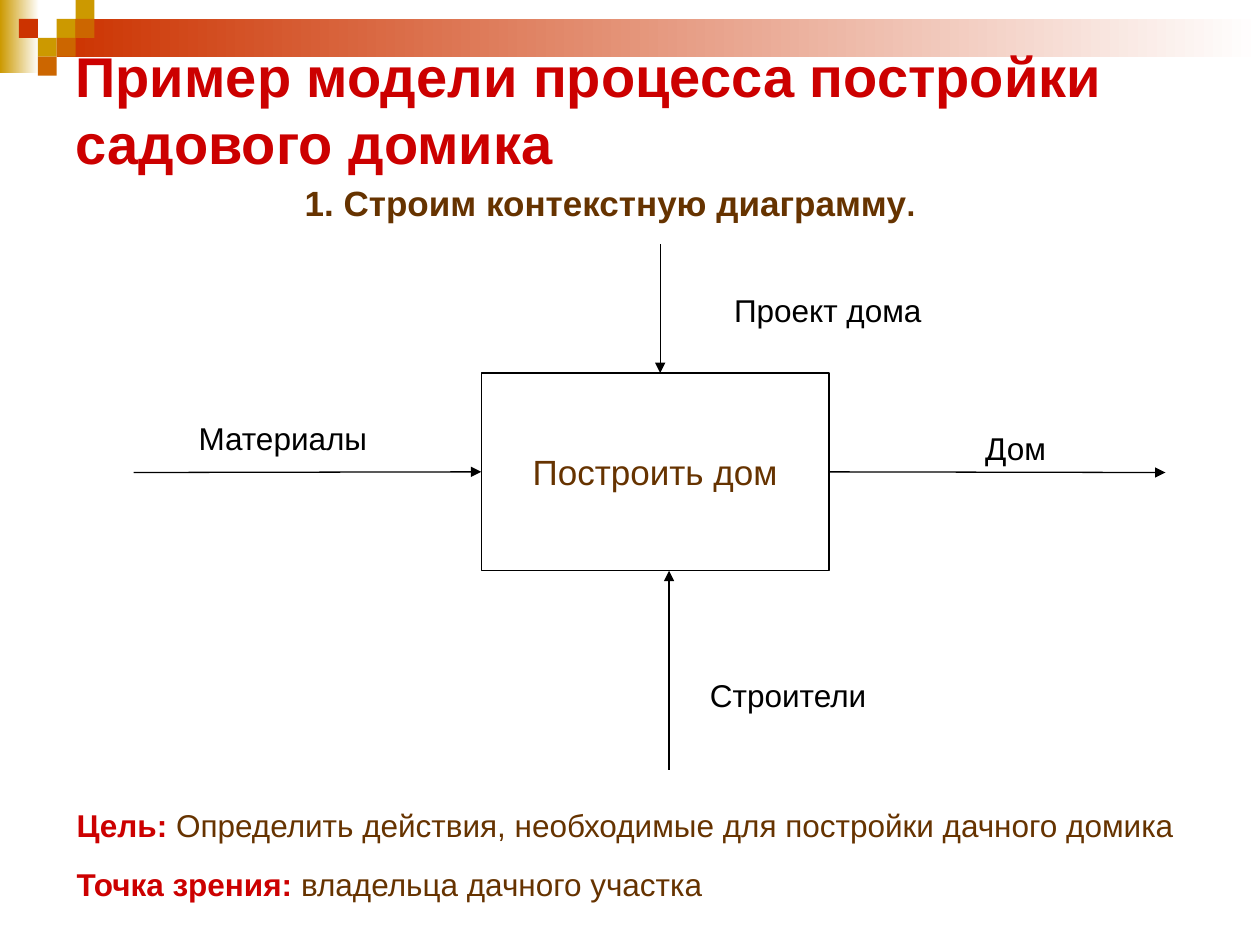
from pptx import Presentation
from pptx.dml.color import RGBColor
from pptx.enum.shapes import MSO_CONNECTOR, MSO_SHAPE
from pptx.enum.text import MSO_ANCHOR, MSO_AUTO_SIZE, PP_ALIGN
from pptx.oxml.ns import qn
from pptx.util import Inches, Pt
from lxml import etree

RECT = MSO_SHAPE.RECTANGLE
LINE = MSO_CONNECTOR.STRAIGHT
LEFT, CENTER = PP_ALIGN.LEFT, PP_ALIGN.CENTER
MIDDLE = MSO_ANCHOR.MIDDLE
FIXED = MSO_AUTO_SIZE.NONE

THEME = {
    "font": "Arial",
    "red": "CC0000", "brown": "663300", "black": "000000", "white": "FFFFFF",
    "gold": "CC9900", "rust": "CC3300", "orange": "CC6600",
    "title": 32, "head": 20, "body": 18, "line": 0.75,
}

TITLE = "Пример модели процесса постройки садового домика"
TITLE_AT = (0.5, 0.5, 9, 0.73)
HEAD = [("1. Строим контекстную диаграмму", "brown", "head", True),
        (".", "brown", "body", True)]
HEAD_AT = (2.32, 1.39, 5.65, 0.44)
TASK = "Построить дом"
TASK_AT = (3.82, 2.96, 2.76, 1.57)

# label, label box, arrow start, arrow end, joined end, joined side of the task
FLOWS = [
    ("Материалы", (1.14, 3.28, 2.21, 0.4), (1.06, 3.75), (3.82, 3.75), "end", 1),
    ("Строители", (5.47, 5.32, 1.57, 0.4), (5.31, 6.11), (5.31, 4.53), None, None),
    ("Дом", (7.2, 3.36, 1.72, 0.4), (6.58, 3.75), (9.25, 3.75), "begin", 3),
    ("Проект дома", (5.39, 2.26, 2.36, 0.4), (5.24, 1.94), (5.24, 2.96), None, None),
]

NOTES = [
    ("Цель:", " Определить действия, необходимые для постройки дачного домика"),
    ("Точка зрения:", " владельца дачного участка"),
]
NOTE_AT, NOTE_STEP = (0.51, 6.35, 9, 0.4), 0.47

FADES = [((0, 0, 0.31, 0.58), "gold"), ((0.45, 0.15, 9.55, 0.3), "rust")]
TILE = 0.15
# column, row, colour
TILES = [(3, 1, "gold"), (4, 0, "gold"), (4, 1, "orange"), (2, 2, "gold"),
         (1, 1, "rust"), (3, 2, "orange"), (2, 3, "orange")]


def color(name):
    return RGBColor.from_string(THEME[name])


def inches(nums):
    return [Inches(num) for num in nums]


def add_rect(slide, at):
    rect = slide.shapes.add_shape(RECT, *inches(at))
    rect.shadow.inherit = False
    rect.line.fill.background()
    return rect


def write(frame, parts, align=LEFT):
    """Fill the first paragraph with (text, colour, size, bold) runs."""
    para = frame.paragraphs[0]
    para.alignment = align
    for text, tint, size, bold in parts:
        run = para.add_run()
        run.text = text
        run.font.name = THEME["font"]
        run.font.size = Pt(THEME[size])
        run.font.bold = bold
        run.font.color.rgb = color(tint)


def add_text(slide, at, parts, align=LEFT):
    frame = slide.shapes.add_textbox(*inches(at)).text_frame
    frame.word_wrap = True
    write(frame, parts, align)


def add_arrow(slide, start, end):
    arrow = slide.shapes.add_connector(LINE, *inches(start + end))
    arrow.line.color.rgb = color("black")
    arrow.line.width = Pt(THEME["line"])
    etree.SubElement(arrow.line._get_or_add_ln(), qn("a:tailEnd"), type="triangle")
    etree.SubElement(arrow._element.spPr, qn("a:effectLst"))
    return arrow


def add_decor(slide):
    for at, tint in FADES:
        fill = add_rect(slide, at).fill
        fill.gradient()
        fill.gradient_angle = 0
        for stop, name in zip(fill.gradient_stops, (tint, "white")):
            stop.color.rgb = color(name)
    for col, row, tint in TILES:
        fill = add_rect(slide, (col * TILE, row * TILE, TILE, TILE)).fill
        fill.solid()
        fill.fore_color.rgb = color(tint)


def add_title(slide):
    title = slide.shapes.title
    title.left, title.top, title.width, title.height = inches(TITLE_AT)
    frame = title.text_frame
    frame.auto_size = FIXED
    frame.word_wrap = True
    frame.vertical_anchor = MIDDLE
    write(frame, [(TITLE, "red", "title", True)])
    slide.shapes._spTree.append(title._element)  # in front of the decor


def add_task(slide):
    task = add_rect(slide, TASK_AT)
    task.fill.background()
    task.line.color.rgb = color("black")
    task.line.width = Pt(THEME["line"])
    task.text_frame.word_wrap = False
    task.text_frame.vertical_anchor = MIDDLE
    write(task.text_frame, [(TASK, "brown", "head", False)], CENTER)
    return task


def main():
    deck = Presentation()
    deck.slide_width, deck.slide_height = Inches(10), Inches(7.5)
    slide = deck.slides.add_slide(deck.slide_layouts[5])
    add_decor(slide)
    add_title(slide)
    task = add_task(slide)
    for label, at, start, end, joint, side in FLOWS:
        arrow = add_arrow(slide, start, end)
        if joint == "begin":
            arrow.begin_connect(task, side)
        elif joint == "end":
            arrow.end_connect(task, side)
        add_text(slide, at, [(label, "black", "body", False)], CENTER)
    left, top, width, height = NOTE_AT
    for i, (term, text) in enumerate(NOTES):
        add_text(slide, (left, top + i * NOTE_STEP, width, height),
                 [(term, "red", "body", True), (text, "brown", "body", False)])
    add_text(slide, HEAD_AT, HEAD)
    deck.save("out.pptx")


if __name__ == "__main__":
    main()
